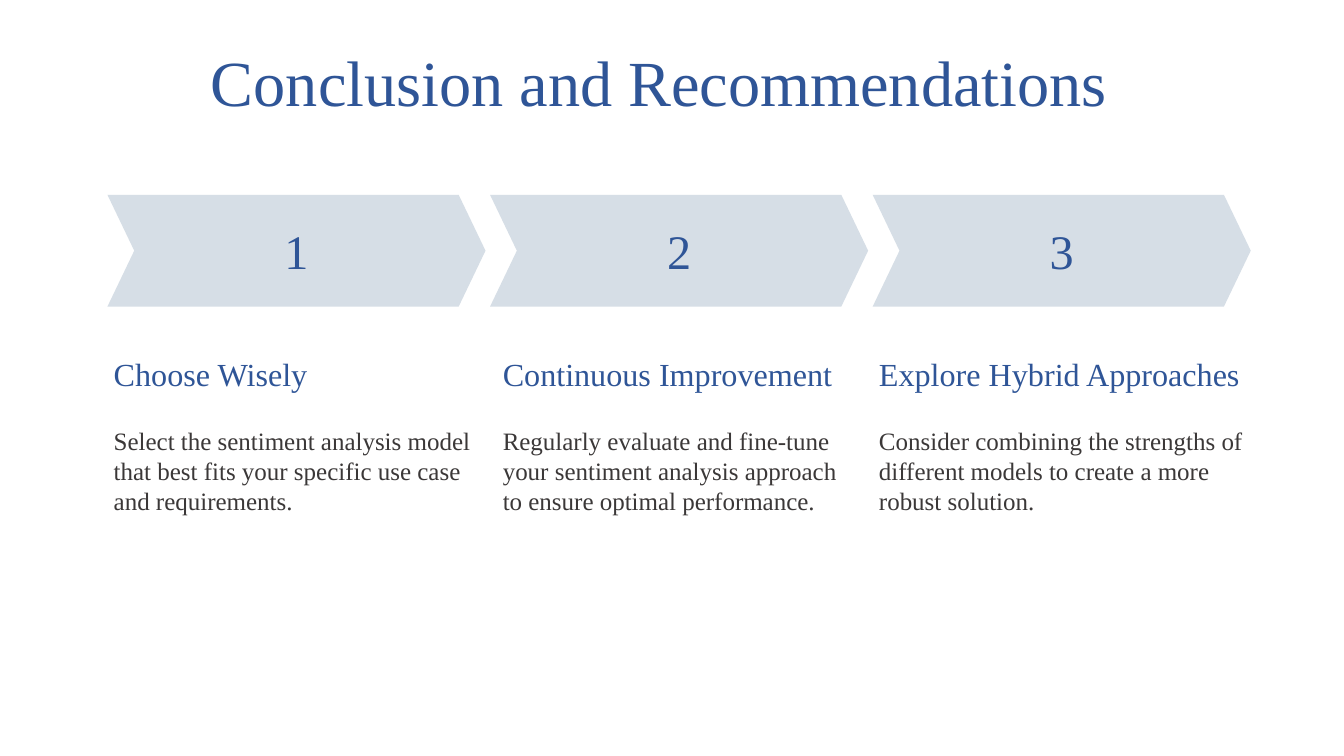
from dataclasses import dataclass

from pptx import Presentation
from pptx.dml.color import RGBColor
from pptx.enum.shapes import MSO_SHAPE
from pptx.enum.text import MSO_ANCHOR, MSO_AUTO_SIZE, PP_ALIGN
from pptx.slide import Slide
from pptx.util import Inches, Pt


@dataclass(frozen=True)
class Theme:
    font: str = "Times New Roman"
    accent: RGBColor = RGBColor(0x2F, 0x55, 0x97)
    body: RGBColor = RGBColor(0x3B, 0x38, 0x38)
    chevron: RGBColor = RGBColor(0xD6, 0xDE, 0xE6)
    title_size: int = 72
    number_size: int = 54
    heading_size: int = 36
    body_size: int = 28
    heading_gap: float = 36.8


@dataclass(frozen=True)
class Step:
    heading: str
    detail: str
    text_indent: float = 0
    text_width: float = 5.88


THEME = Theme()
STEP_LEFT, STEP_PITCH, STEP_WIDTH = 1.67, 5.95, 5.88
CHEVRON_TOP, CHEVRON_HEIGHT = 3.03, 1.74
TEXT_TOP, TEXT_HEIGHT = 5.46, 2.66

STEPS = [
    Step("Choose Wisely",
         "Select the sentiment analysis model that best fits your specific "
         "use case and requirements."),
    Step("Continuous Improvement",
         "Regularly evaluate and fine-tune your sentiment analysis approach "
         "to ensure optimal performance.", text_indent=0.1, text_width=5.42),
    Step("Explore Hybrid Approaches",
         "Consider combining the strengths of different models to create a "
         "more robust solution."),
]


def write(p, text: str, size: int, color: RGBColor,
          align: PP_ALIGN = PP_ALIGN.LEFT) -> None:
    p.text = text
    p.alignment = align
    p.font.name = THEME.font
    p.font.size = Pt(size)
    p.font.color.rgb = color


def add_title(s: Slide, text: str) -> None:
    sp = s.shapes.title
    sp.left, sp.top = Inches(3.18), Inches(0.6)
    sp.width, sp.height = Inches(14.75), Inches(1.31)
    tf = sp.text_frame
    tf.auto_size = MSO_AUTO_SIZE.NONE
    tf.vertical_anchor = MSO_ANCHOR.TOP
    write(tf.paragraphs[0], text, THEME.title_size, THEME.accent)


def add_chevron(s: Slide, left: float, number: int) -> None:
    sp = s.shapes.add_shape(MSO_SHAPE.CHEVRON, Inches(left), Inches(CHEVRON_TOP),
                            Inches(STEP_WIDTH), Inches(CHEVRON_HEIGHT))
    sp.adjustments[0] = 0.24
    sp.shadow.inherit = False
    sp.fill.solid()
    sp.fill.fore_color.rgb = THEME.chevron
    sp.line.fill.background()
    tf = sp.text_frame
    tf.vertical_anchor = MSO_ANCHOR.MIDDLE
    write(tf.paragraphs[0], str(number), THEME.number_size, THEME.accent,
          PP_ALIGN.CENTER)


def add_step_text(s: Slide, left: float, step: Step) -> None:
    sp = s.shapes.add_textbox(Inches(left + step.text_indent), Inches(TEXT_TOP),
                              Inches(step.text_width), Inches(TEXT_HEIGHT))
    tf = sp.text_frame
    tf.word_wrap = True
    write(tf.paragraphs[0], step.heading, THEME.heading_size, THEME.accent)
    p = tf.add_paragraph()
    write(p, step.detail, THEME.body_size, THEME.body)
    p.space_before = Pt(THEME.heading_gap)


def main() -> None:
    prs = Presentation()
    prs.slide_width, prs.slide_height = Inches(20.9), Inches(11.76)
    s = prs.slides.add_slide(prs.slide_layouts.get_by_name("Title Only"))
    add_title(s, "Conclusion and Recommendations")
    for i, step in enumerate(STEPS):
        left = STEP_LEFT + i * STEP_PITCH
        add_chevron(s, left, i + 1)
        add_step_text(s, left, step)
    prs.save("out.pptx")


if __name__ == "__main__":
    main()
